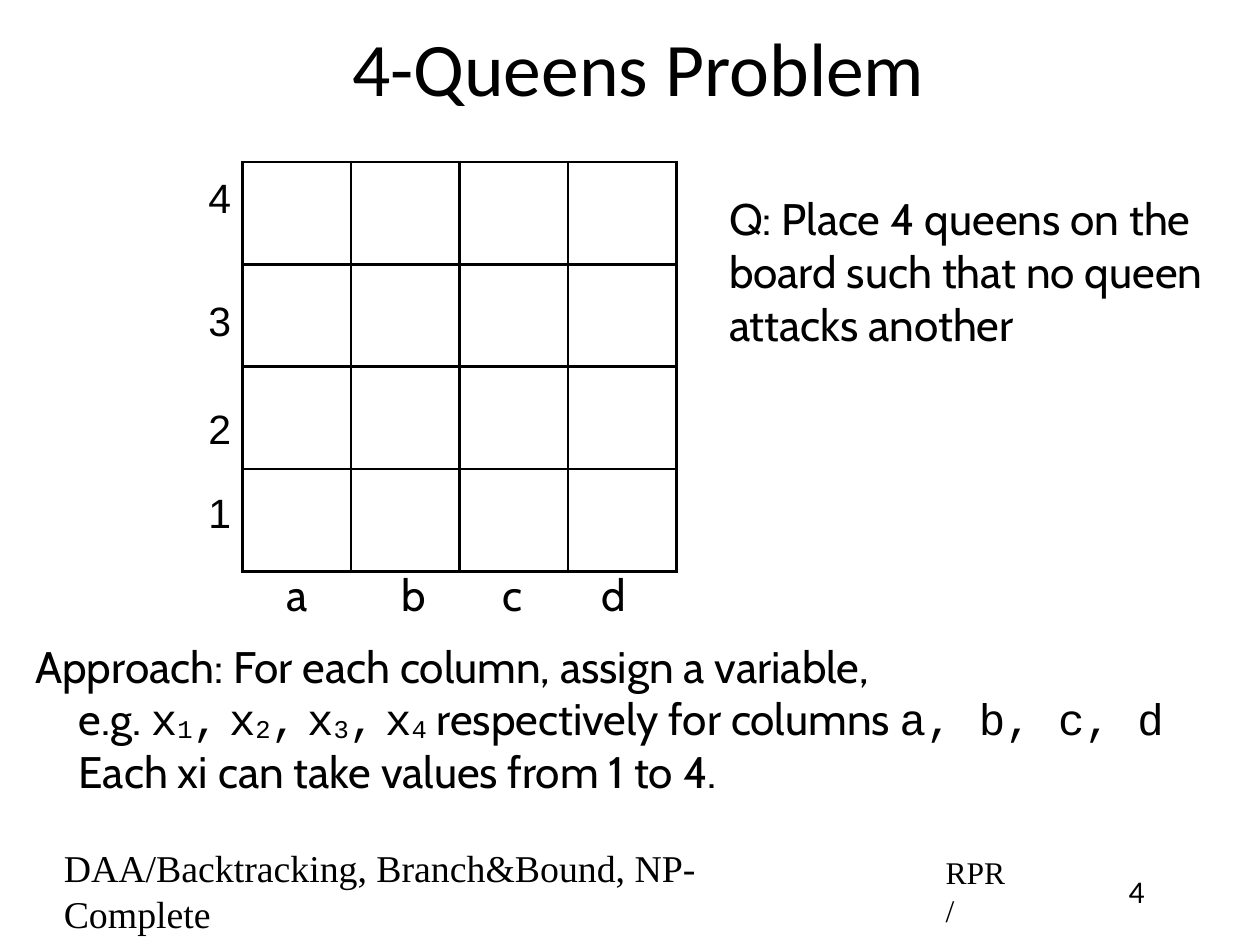
from lxml import etree
from pptx import Presentation
from pptx.dml.color import RGBColor
from pptx.enum.text import MSO_ANCHOR as Anchor, MSO_AUTO_SIZE as AutoSize, PP_ALIGN as Align
from pptx.oxml.ns import qn
from pptx.util import Cm, Pt

COLORS = {"ink": "000000"}
CABIN, MONO, SERIF = "Cabin", "Courier New", "Times New Roman"

TITLE = "4-Queens Problem"
QUESTION = "Q: Place 4 queens on the board such that no queen attacks another"
COLUMN_LABELS = [("a", 6.17), ("b", 8.74), ("c", 11.0), ("d", 13.23)]
ROW_LABELS = [("4", 3.74), ("3", 6.5), ("2", 8.92), ("1", 10.8)]
COMMA = [(",", MONO, False), (" ", CABIN, False)]
X = ("x", MONO, False)
APPROACH = [
    (0, [("Approach: For each column, assign a variable,", CABIN, False)]),
    (1, [("e.g. ", CABIN, False),
         X, ("1", MONO, True), *COMMA,
         X, ("2", MONO, True), *COMMA,
         X, ("3", MONO, True), *COMMA,
         X, ("4", MONO, True),
         (" respectively for columns ", CABIN, False),
         ("a, b, c, d", MONO, False)]),
    (1, [("Each xi can take values from 1 to 4.", CABIN, False)]),
]
TEXTS = [
    (QUESTION, (16.08, 4.24, 11.66, 3.66), CABIN, 28),
    ("DAA/Backtracking, Branch&Bound, NP-Complete", (1.18, 19.34, 17.4, 1.19), SERIF, 24),
    ("RPR/", (20.93, 19.41, 1.83, 1.07), SERIF, 20),
]
TEXTS += [(name, (x, 12.58, 0.9, 1.42), CABIN, 28) for name, x in COLUMN_LABELS]
TEXTS += [(name, (4.42, y, 0.94, 1.35), "Arial", 26) for name, y in ROW_LABELS]

BOARD_LEFT, BOARD_TOP = 5.43, 3.63
SQUARE_W, SQUARE_H = 2.43, 2.29
INSET, LEFT_INSET, LEVEL_INDENT = 0.15, 0.25, 0.97


def place(sp, box, left_inset=LEFT_INSET):
    sp.left, sp.top, sp.width, sp.height = map(Cm, box)
    tf = sp.text_frame
    tf.word_wrap = True
    tf.auto_size = AutoSize.NONE
    tf.vertical_anchor = Anchor.MIDDLE
    tf.margin_left = Cm(left_inset)
    tf.margin_top = tf.margin_right = tf.margin_bottom = Cm(INSET)
    return tf


def add_run(p, text, font, size):
    r = p.add_run()
    r.text = text
    r.font.name = font
    r.font.size = Pt(size)
    r.font.color.rgb = RGBColor.from_string(COLORS["ink"])
    return r


def add_text(slide, text, box, font, size, align=Align.LEFT, left_inset=LEFT_INSET):
    tf = place(slide.shapes.add_textbox(*map(Cm, box)), box, left_inset)
    p = tf.paragraphs[0]
    p.alignment = align
    add_run(p, text, font, size)


def add_borders(cell, width):
    tcPr = cell._tc.get_or_add_tcPr()
    for i, side in enumerate(("lnL", "lnR", "lnT", "lnB")):
        ln = etree.Element(qn(f"a:{side}"), w=str(Pt(width)))
        fill = etree.SubElement(ln, qn("a:solidFill"))
        etree.SubElement(fill, qn("a:srgbClr"), val=COLORS["ink"])
        tcPr.insert(i, ln)


def add_board(slide):
    rows, cols = len(ROW_LABELS), len(COLUMN_LABELS)
    table = slide.shapes.add_table(
        rows, cols, Cm(BOARD_LEFT), Cm(BOARD_TOP),
        Cm(cols * SQUARE_W), Cm(rows * SQUARE_H)).table
    table.first_row = table.horz_banding = False
    for column in table.columns:
        column.width = Cm(SQUARE_W)
    for row in table.rows:
        row.height = Cm(SQUARE_H)
    for cell in table.iter_cells():
        cell.fill.background()
        add_borders(cell, 2)


def fill_approach(sp):
    tf = place(sp, (0.54, 14.22, 26.26, 3.73))
    for i, (level, runs) in enumerate(APPROACH):
        p = tf.paragraphs[0] if i == 0 else tf.add_paragraph()
        p.level = level
        p.space_before = Pt(0)
        pPr = p._p.get_or_add_pPr()
        pPr.set("marL", "0")
        pPr.set("indent", str(Cm(level * LEVEL_INDENT)))
        etree.SubElement(pPr, qn("a:buNone"))
        for text, font, subscript in runs:
            r = add_run(p, text, font, 28)
            if subscript:
                r._r.get_or_add_rPr().set("baseline", "-6000")


def main():
    prs = Presentation()
    prs.slide_width, prs.slide_height = Cm(28.22), Cm(21.16)
    slide = prs.slides.add_slide(prs.slide_layouts[1])

    tf = place(slide.shapes.title, (2.31, 0.16, 23.98, 2.64), INSET)
    tf.paragraphs[0].alignment = Align.CENTER
    add_run(tf.paragraphs[0], TITLE, "Calibri", 48)

    add_board(slide)
    for text, box, font, size in TEXTS:
        add_text(slide, text, box, font, size)
    add_text(slide, "4", (24.62, 19.41, 1.68, 1.07), "Calibri", 20, Align.CENTER, INSET)
    fill_approach(slide.placeholders[1])

    prs.save("out.pptx")


if __name__ == "__main__":
    main()
